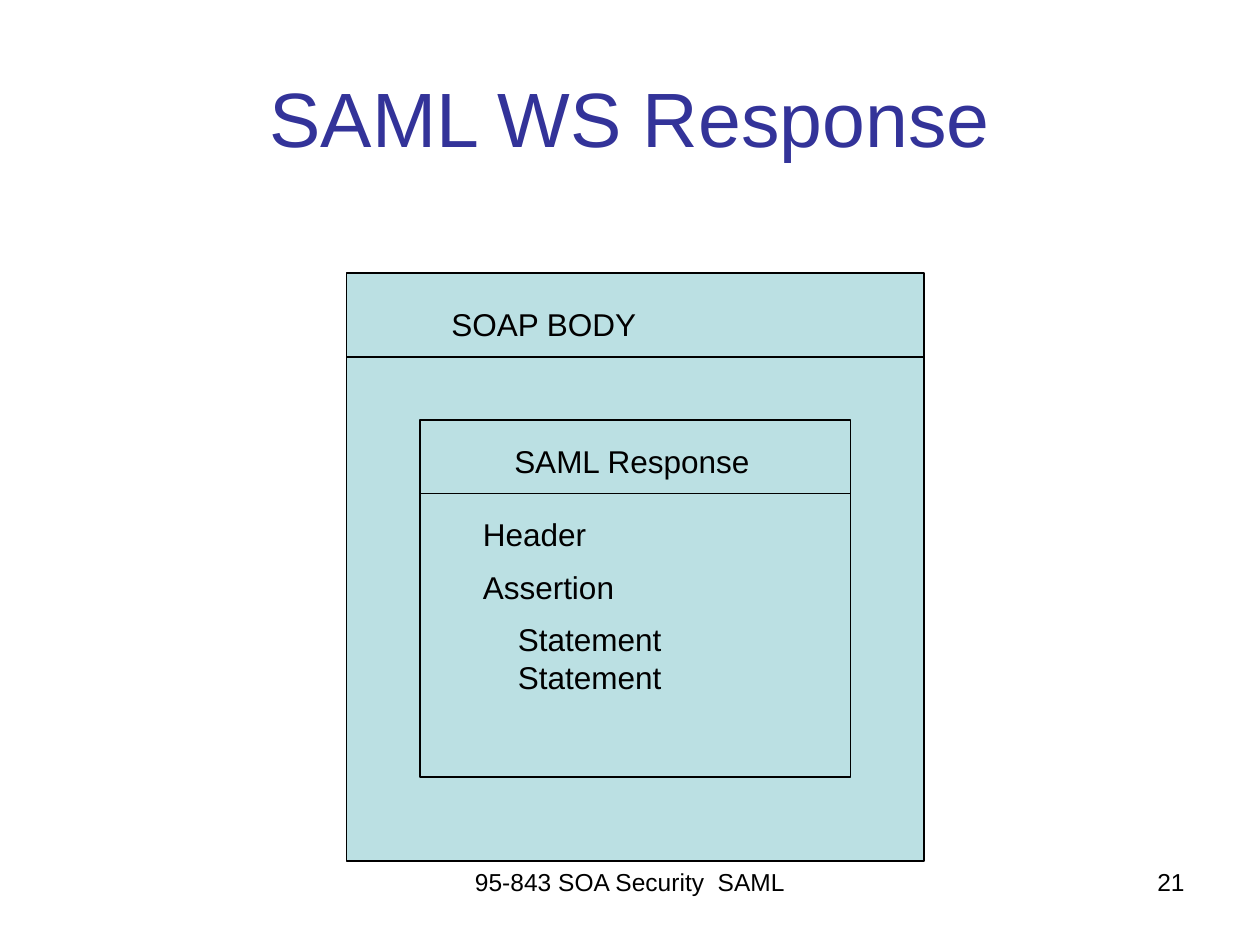
from pptx import Presentation
from pptx.dml.color import RGBColor
from pptx.enum.shapes import MSO_CONNECTOR, MSO_SHAPE
from pptx.enum.text import MSO_ANCHOR, MSO_AUTO_SIZE, PP_ALIGN
from pptx.oxml.ns import qn
from pptx.util import Pt

LEFT, CENTER, RIGHT = PP_ALIGN.LEFT, PP_ALIGN.CENTER, PP_ALIGN.RIGHT
TOP, MIDDLE = MSO_ANCHOR.TOP, MSO_ANCHOR.MIDDLE
FIT_SHAPE = MSO_AUTO_SIZE.SHAPE_TO_FIT_TEXT
RECTANGLE, STRAIGHT = MSO_SHAPE.RECTANGLE, MSO_CONNECTOR.STRAIGHT

COLORS = {"title": "333399", "ink": "000000", "panel": "BBE0E3"}
FONT = "Arial"
LABEL_SIZE = 18
LINE_WIDTH = Pt(0.75)
STATEMENT_INDENT = Pt(20)


def color(name):
    return RGBColor.from_string(COLORS[name])


def add_text(page, box, lines, size, ink="ink", align=LEFT, anchor=TOP, indent=0):
    text_box = page.shapes.add_textbox(*map(Pt, box))
    frame = text_box.text_frame
    frame.word_wrap = True
    frame.vertical_anchor = anchor
    frame.text = "\n".join(lines)
    for para in frame.paragraphs:
        para.alignment = align
        para.font.name = FONT
        para.font.size = Pt(size)
        para.font.color.rgb = color(ink)
        if indent:
            para._p.get_or_add_pPr().set("marL", str(indent))
    return frame


def add_label(page, box, text):
    """Add an unwrapped line whose box fits it."""
    frame = add_text(page, box, [text], LABEL_SIZE)
    frame.word_wrap = False
    frame.auto_size = FIT_SHAPE


def add_panel(page, box, header_height, heading, heading_box):
    """Draw a box with a ruled-off heading, placed relative to the box."""
    left, top, width, height = box
    panel = page.shapes.add_shape(RECTANGLE, *map(Pt, box))
    panel.shadow.inherit = False
    panel.fill.solid()
    panel.fill.fore_color.rgb = color("panel")

    rule_y = top + header_height
    rule = page.shapes.add_connector(
        STRAIGHT, Pt(left), Pt(rule_y), Pt(left + width), Pt(rule_y))
    properties = rule._element.spPr
    for shape in (panel, rule):
        shape.line.color.rgb = color("ink")
        shape.line.width = LINE_WIDTH
    properties.append(properties.makeelement(qn("a:effectLst"), {}))

    x, y, label_width, label_height = heading_box
    add_label(page, (left + x, top + y, label_width, label_height), heading)


def add_response_parts(page, box):
    left, top, width, height = box
    add_label(page, (left, top, 73.5, 29), "Header")
    add_label(page, (left, top + 30, 89.5, 29), "Assertion")
    add_text(page, (left, top + 60, width, height - 60),
             ["Statement", "Statement"], LABEL_SIZE, indent=STATEMENT_INDENT)


def add_footer(page, box):
    left, top, width, height = box
    add_text(page, (left, top, 228, height), ["95-843 SOA Security  SAML"],
             14, align=CENTER)
    add_text(page, (left + width - 168, top, 168, height), ["21"], 14, align=RIGHT)


def main():
    deck = Presentation()
    deck.slide_width, deck.slide_height = Pt(720), Pt(540)
    page = deck.slides.add_slide(deck.slide_layouts[6])

    add_footer(page, (246, 492, 438, 37.5))
    add_text(page, (36, 21.6, 648, 90), ["SAML WS Response"], 44,
             "title", CENTER, MIDDLE)
    add_panel(page, (198, 156, 330, 336), 48, "SOAP BODY", (52.8, 14.5, 120, 29))
    add_panel(page, (240, 240, 246, 204), 42, "SAML Response", (46.8, 9, 149, 29))
    add_response_parts(page, (268.8, 291, 120, 110.5))
    deck.save("out.pptx")


if __name__ == "__main__":
    main()
